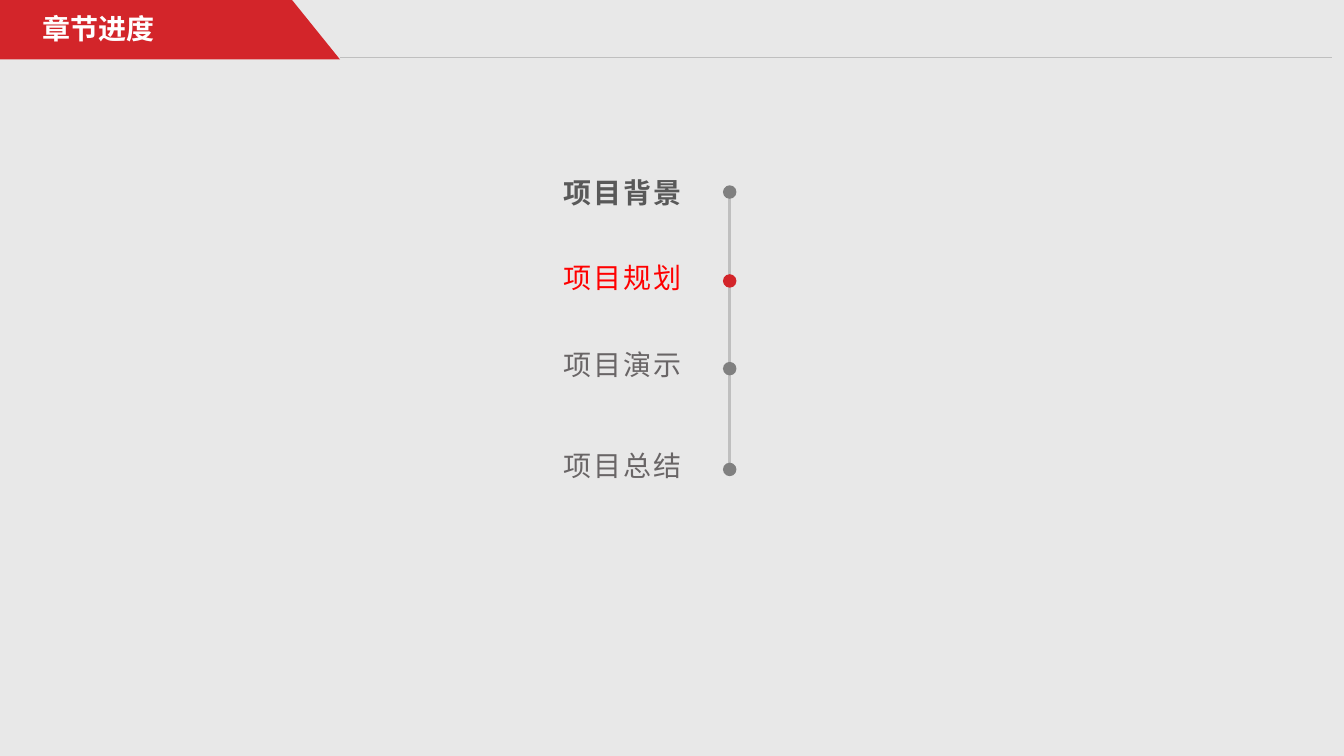
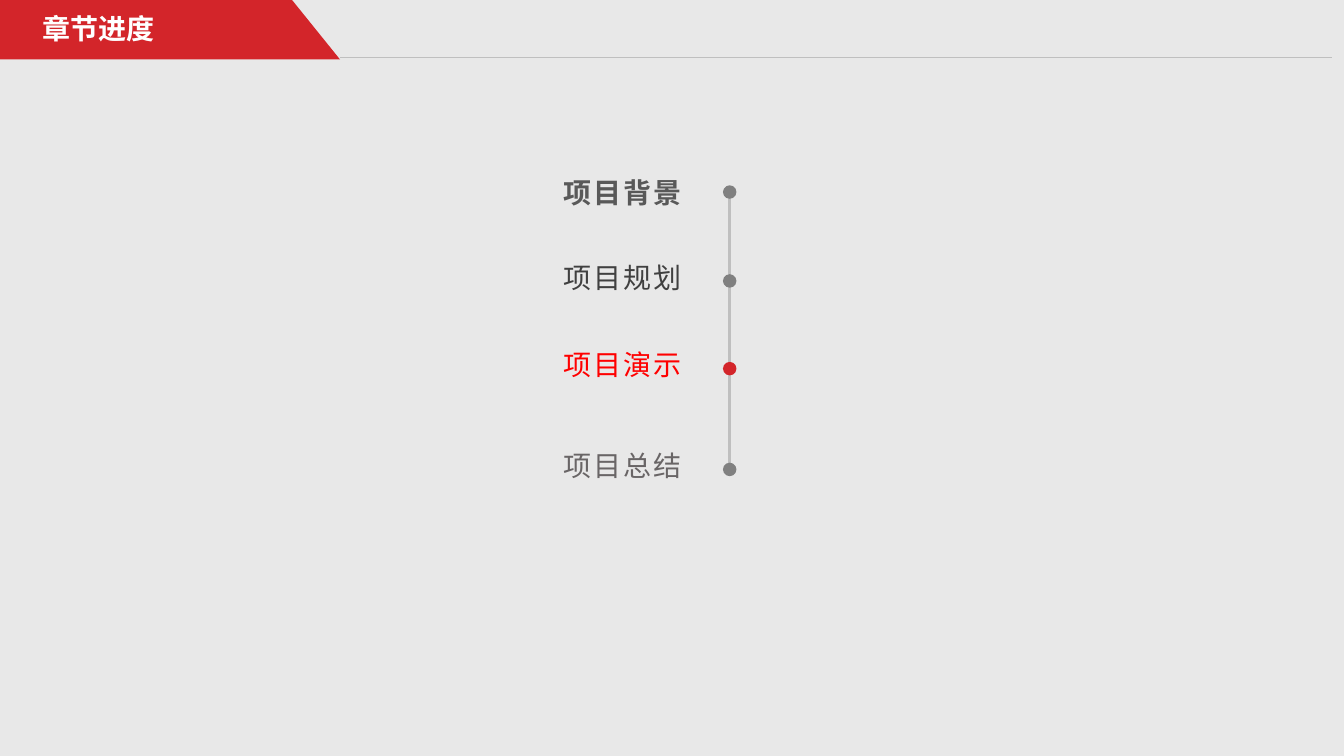
from lxml.etree import SubElement
from pptx import Presentation
from pptx.dml.color import RGBColor
from pptx.enum.shapes import MSO_CONNECTOR, MSO_SHAPE
from pptx.enum.text import MSO_ANCHOR, PP_ALIGN
from pptx.oxml.ns import qn
from pptx.util import Cm, Pt

BACKGROUND = RGBColor(0xE8, 0xE8, 0xE8)
BAND_RED = RGBColor(0xD3, 0x25, 0x2A)
ACTIVE_RED = RGBColor(0xFF, 0x00, 0x00)
RULE_GREY = RGBColor(0xBF, 0xBF, 0xBF)
DOT_GREY = RGBColor(0x80, 0x80, 0x80)
FIRST_GREY = RGBColor(0x59, 0x59, 0x59)
DONE_GREY = RGBColor(0x40, 0x40, 0x40)
NEXT_GREY = RGBColor(0x69, 0x65, 0x66)
WHITE = RGBColor(0xFF, 0xFF, 0xFF)

CJK_FONT = "Noto Sans CJK SC"
LABEL_FONT = "Arial"
SLIDE_WIDTH, SLIDE_HEIGHT = 33.87, 19.05
DOT_SIZE = 0.34
CHAPTERS = (
    ("项目背景", 0, 0.55),
    ("项目规划", 2.16, 2.79),
    ("项目演示", 4.35, 5),
    ("项目总结", 6.89, 7.54),
)


def paint(shape, color):
    """Give a shape a flat fill with neither outline nor shadow."""
    shape.fill.solid()
    shape.fill.fore_color.rgb = color
    shape.line.fill.background()
    shape.shadow.inherit = False


def write(shape, text, font_name, color, bold=False, spacing=0):
    """Write one left-aligned line of 20 pt text into a shape."""
    paragraph = shape.text_frame.paragraphs[0]
    paragraph.text = text
    paragraph.alignment = PP_ALIGN.LEFT
    font = paragraph.font
    font.name, font.size, font.bold = font_name, Pt(20), bold
    font.color.rgb = color
    properties = paragraph._p.get_or_add_pPr().find(qn("a:defRPr"))
    properties.set("spc", str(int(spacing * 100)))
    SubElement(properties, qn("a:ea")).set("typeface", CJK_FONT)


def add_rule(slide, start, end, weight):
    """Draw a plain grey line between two points given in centimetres."""
    rule = slide.shapes.add_connector(
        MSO_CONNECTOR.STRAIGHT, *(Cm(value) for value in start + end))
    rule.line.color.rgb = RULE_GREY
    rule.line.width = Pt(weight)
    SubElement(rule._element.spPr, qn("a:effectLst"))


def add_header(slide, title, left=0, top=0, width=33.58, height=1.5):
    """Draw the slanted title band and the rule that continues it."""
    slant_top, slant_bottom = left + 7.36, left + 8.57
    outline = slide.shapes.build_freeform(Cm(left), Cm(top))
    outline.add_line_segments([
        (Cm(slant_top), Cm(top)),
        (Cm(slant_bottom), Cm(top + height)),
        (Cm(left), Cm(top + height)),
    ], close=True)
    paint(outline.convert_to_shape(), BAND_RED)
    rule_y = top + height - 0.05
    add_rule(slide, (slant_bottom, rule_y), (left + width, rule_y), 0.25)
    heading = slide.shapes.add_textbox(
        Cm(left + 0.81), Cm(top + 0.15), Cm(6.5), Cm(1.11))
    heading.text_frame.word_wrap = True
    heading.text_frame.vertical_anchor = MSO_ANCHOR.MIDDLE
    write(heading, title, CJK_FONT, WHITE, bold=True)


def label_color(index, active):
    """Choose the label colour from a chapter's place in the progress."""
    if index == active:
        return ACTIVE_RED
    if index == 0:
        return FIRST_GREY
    return DONE_GREY if index < active else NEXT_GREY


def add_progress(slide, active, left=13.94, top=4.29, axis=4.45):
    """List the chapters beside a timeline and mark the active one."""
    axis_x = left + axis
    dot_centers = [top + center for _, _, center in CHAPTERS]
    add_rule(slide, (axis_x, dot_centers[0]), (axis_x, dot_centers[-1]), 2.25)
    for index, (chapter, label_top, _) in enumerate(CHAPTERS):
        label = slide.shapes.add_textbox(
            Cm(left), Cm(top + label_top), Cm(3.58), Cm(1.11))
        label.text_frame.word_wrap = False
        write(label, chapter, LABEL_FONT, label_color(index, active),
              bold=index == 0, spacing=1.5)
        dot = slide.shapes.add_shape(
            MSO_SHAPE.OVAL, Cm(axis_x - DOT_SIZE / 2),
            Cm(dot_centers[index] - DOT_SIZE / 2), Cm(DOT_SIZE), Cm(DOT_SIZE))
        paint(dot, BAND_RED if index == active else DOT_GREY)


def main():
    """Build one progress slide for each active chapter."""
    deck = Presentation()
    deck.slide_width, deck.slide_height = Cm(SLIDE_WIDTH), Cm(SLIDE_HEIGHT)
    backdrop = deck.slide_master.background.fill
    backdrop.solid()
    backdrop.fore_color.rgb = BACKGROUND
    for active in (1, 2):
        slide = deck.slides.add_slide(deck.slide_layouts[6])
        add_header(slide, "章节进度")
        add_progress(slide, active)
    deck.save("out.pptx")


if __name__ == "__main__":
    main()
